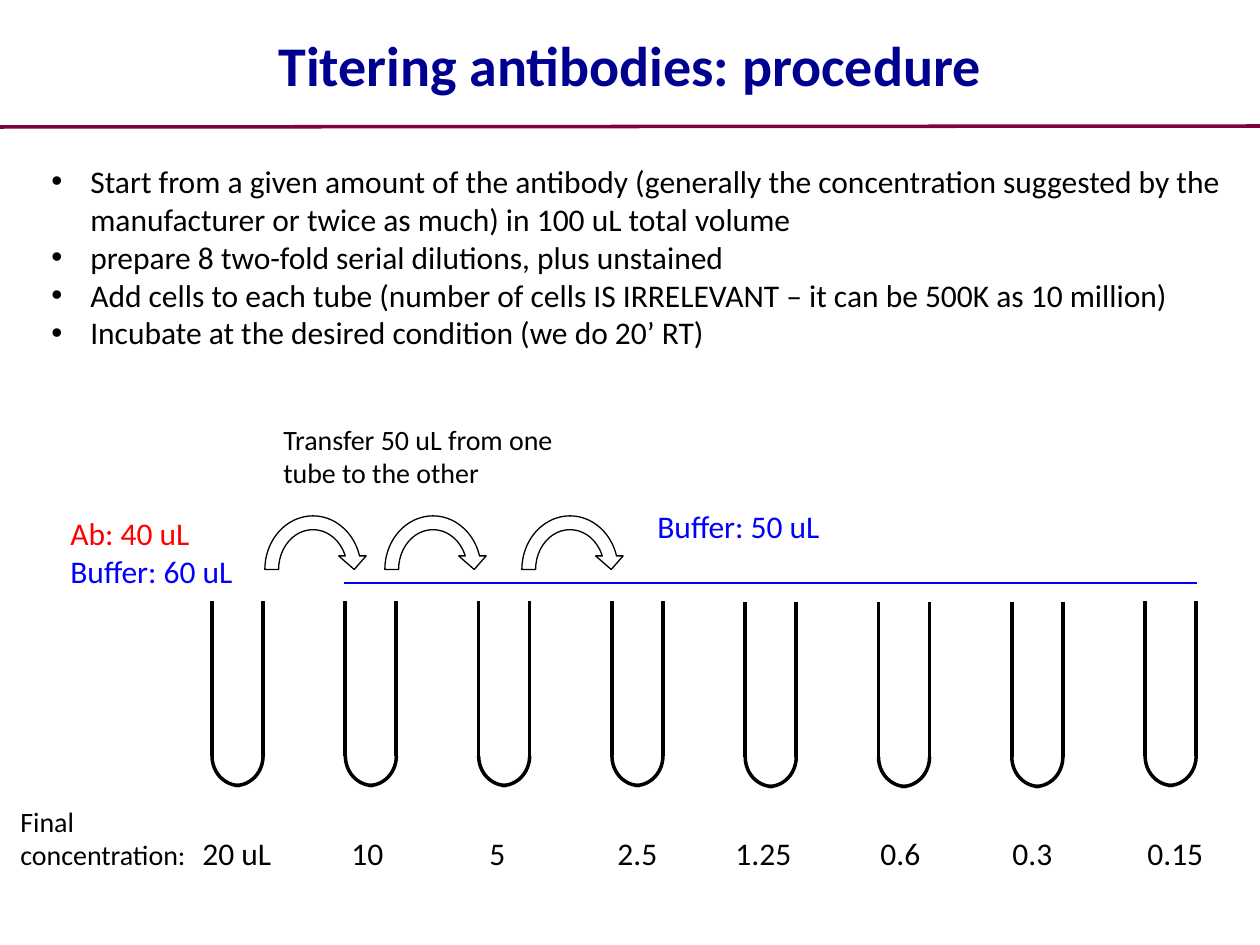
from lxml import etree
from pptx import Presentation
from pptx import util as u
from pptx.dml.color import RGBColor
from pptx.enum import shapes, text
from pptx.oxml.ns import qn

PX = 914400 / 126
FONT = "Calibri"
COLORS = {
    "title": "000090",
    "rule": "800040",
    "ink": "000000",
    "antibody": "FF0000",
    "buffer": "0000FF",
}
STEPS = [
    "Start from a given amount of the antibody (generally the concentration "
    "suggested by the manufacturer or twice as much) in 100 uL total volume",
    "prepare 8 two-fold serial dilutions, plus unstained",
    "Add cells to each tube (number of cells IS IRRELEVANT – it can be 500K as 10 million)",
    "Incubate at the desired condition (we do 20’ RT)",
]
CONCENTRATIONS = [
    ("20 uL", 190, 107),
    ("10", 339, 63),
    ("5", 477, 63),
    ("2.5", 605, 78),
    ("1.25", 723, 97),
    ("0.6", 868, 76),
    ("0.3", 1000, 78),
    ("0.15", 1135, 82),
]
TUBE_TOPS = [601, 601, 601, 601, 602, 602, 602, 601]
TUBE_LEFT, TUBE_STEP, TUBE_WIDTH, TUBE_DEPTH = 212, 133.3, 51, 155
ARC_WIDTH, ARC_HEIGHT = 55, 59
TRANSFER_LEFTS = [258, 378, 515]


def emu(px):
    """Turn px into EMU."""
    return u.Emu(round(px * PX))


def box(*lengths):
    """Turn several px lengths into EMU."""
    return [emu(length) for length in lengths]


def color(name):
    """Look up a named colour."""
    return RGBColor.from_string(COLORS[name])


def write(paragraph, words, size, ink, bold=False):
    """Add one formatted run to a paragraph."""
    run = paragraph.add_run()
    run.text = words
    run.font.name = FONT
    run.font.size = u.Pt(size)
    run.font.bold = bold
    run.font.color.rgb = color(ink)


def add_title(slide, words):
    """Place and format the title placeholder."""
    title = slide.shapes.title
    title.left, title.top, title.width, title.height = box(116, 24, 1028, 81)
    frame = title.text_frame
    frame.auto_size = text.MSO_AUTO_SIZE.NONE
    frame.vertical_anchor = text.MSO_ANCHOR.MIDDLE
    frame.paragraphs[0].alignment = text.PP_ALIGN.CENTER
    write(frame.paragraphs[0], words, 32, "title", bold=True)


def add_text(slide, place, lines, size=18, bulleted=False):
    """Add a text box with one paragraph per (words, colour) pair."""
    frame = slide.shapes.add_textbox(*box(*place)).text_frame
    frame.word_wrap = True
    for index, (words, ink) in enumerate(lines):
        paragraph = frame.add_paragraph() if index else frame.paragraphs[0]
        if bulleted:
            add_bullet(paragraph)
        write(paragraph, words, size, ink)


def add_bullet(paragraph):
    """Give a paragraph a hanging round bullet."""
    properties = paragraph._p.get_or_add_pPr()
    properties.set("marL", str(emu(39)))
    properties.set("indent", str(-emu(39)))
    etree.SubElement(properties, qn("a:buFont"), typeface="Arial")
    etree.SubElement(properties, qn("a:buChar"), char="•")


def add_line(parent, ends, ink="ink", weight=2):
    """Add a straight line without a shadow."""
    line = parent.shapes.add_connector(shapes.MSO_CONNECTOR.STRAIGHT, *box(*ends))
    line.line.color.rgb = color(ink)
    line.line.width = u.Pt(weight)
    etree.SubElement(line._element.spPr, qn("a:effectLst"))


def add_outline(parent, kind, place, weight):
    """Add an unfilled preset shape."""
    outline = parent.shapes.add_shape(kind, *box(*place))
    outline.shadow.inherit = False
    outline.fill.background()
    outline.line.color.rgb = color("ink")
    outline.line.width = u.Pt(weight)
    return outline


def add_tube(slide, left, top):
    """Group two walls and two quarter arcs into a test tube."""
    tube = slide.shapes.add_group_shape()
    right, bottom = left + TUBE_WIDTH, top + TUBE_DEPTH
    for wall in (left, right):
        add_line(tube, (wall, top, wall, bottom))
    for arc_left, flipped in ((left, False), (right - ARC_WIDTH, True)):
        place = (arc_left, bottom - ARC_HEIGHT / 2, ARC_WIDTH, ARC_HEIGHT)
        arc = add_outline(tube, shapes.MSO_SHAPE.ARC, place, 2)
        arc.rotation = 180
        if flipped:
            arc._element.spPr.xfrm.set("flipH", "1")


def main():
    """Build the antibody titration slide."""
    deck = Presentation()
    deck.slide_width, deck.slide_height = box(1260, 945)
    slide = deck.slides.add_slide(deck.slide_layouts[5])

    add_title(slide, "Titering antibodies: procedure")
    add_line(slide, (0, 127, 1260, 126), "rule")
    add_text(slide, (39, 156, 1198, 242), [(step, "ink") for step in STEPS], bulleted=True)

    for index, top in enumerate(TUBE_TOPS):
        add_tube(slide, TUBE_LEFT + index * TUBE_STEP, top)
    for amount, left, width in CONCENTRATIONS:
        add_text(slide, (left, 828, width, 50), [(amount, "ink")])

    add_text(slide, (58, 508, 223, 89), [("Ab: 40 uL", "antibody"), ("Buffer: 60 uL", "buffer")])
    add_text(slide, (8, 798, 222, 81), [("Final concentration:", "ink")], 16)
    add_line(slide, (344, 583, 1197, 583), "buffer", 1)
    add_text(slide, (645, 501, 223, 50), [("Buffer: 50 uL", "buffer")])
    for left in TRANSFER_LEFTS:
        add_outline(slide, shapes.MSO_SHAPE.CIRCULAR_ARROW, (left, 509, 110, 121), 0.75)
    add_text(slide, (271, 416, 340, 81), [("Transfer 50 uL from one tube to the other", "ink")], 16)

    deck.save("out.pptx")


if __name__ == "__main__":
    main()
